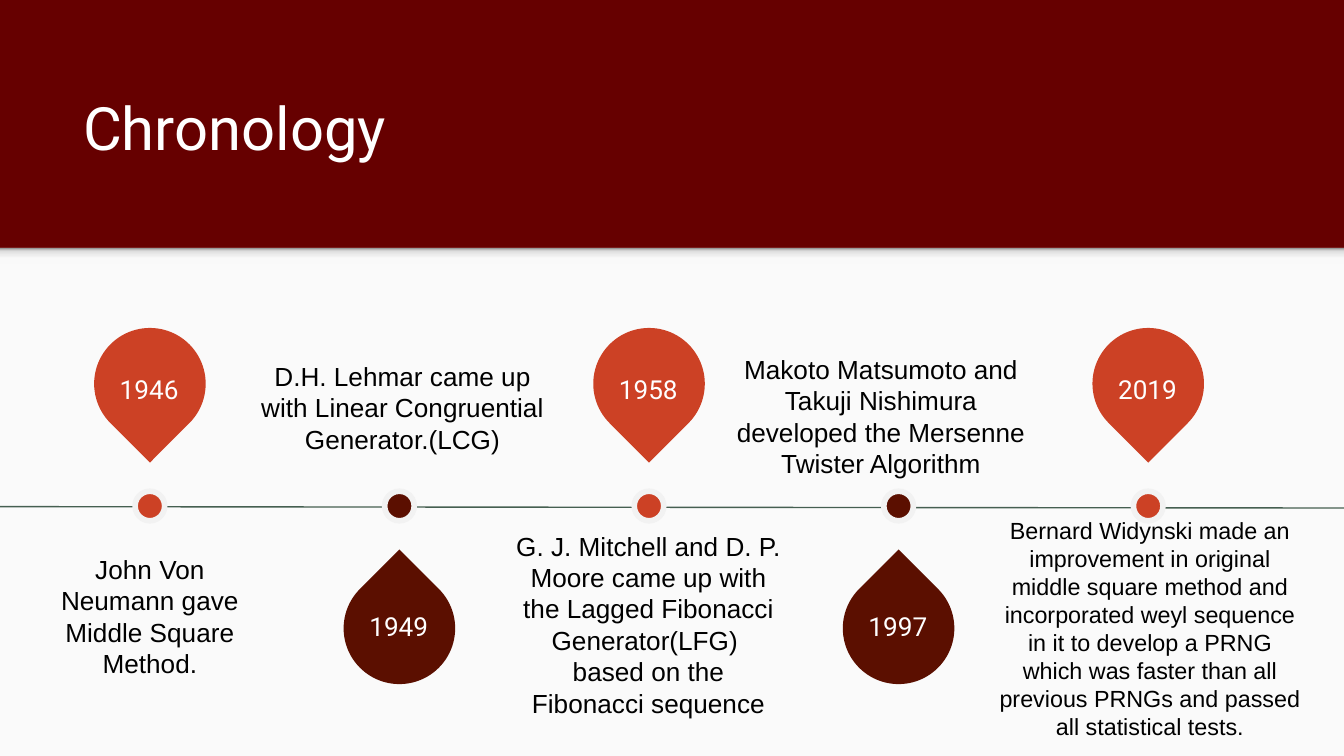
from copy import deepcopy

from lxml.etree import SubElement
from pptx import Presentation
from pptx.dml.color import RGBColor as RGB
from pptx.enum.shapes import MSO_CONNECTOR as LINK, MSO_SHAPE as SHAPE
from pptx.enum.text import MSO_ANCHOR as ANCHOR, PP_ALIGN as ALIGN
from pptx.oxml.ns import qn
from pptx.util import Inches, Pt

# Grid: square cells, 100 columns by 56.25 rows
CELL = Inches(0.1)
COLS, ROWS = 100, 56.25
BAND = 18.45        # rows taken by the title band
AXIS = 37.65        # row of the dots
FIRST, STEP = 11.15, 18.57  # column of the first event, gap between events
DROP, DOT = 8.3, 2.2

WINE = RGB(0x66, 0x00, 0x00)
PAPER = RGB(0xFA, 0xFA, 0xFA)
RED = RGB(0xCC, 0x41, 0x25)
BROWN = RGB(0x5B, 0x0F, 0x00)
RING = RGB(0xF2, 0xF2, 0xF2)
GREEN = RGB(0x45, 0x5F, 0x51)
WHITE = RGB(0xFF, 0xFF, 0xFF)
BLACK = RGB(0x00, 0x00, 0x00)
SHADE = [(0, RGB(0xF9, 0xF9, 0xF9)), (0.36, RGB(0xF9, 0xF9, 0xF9)),
         (0.8, RGB(0xDE, 0xDE, 0xDE)), (1, RGB(0x99, 0x99, 0x99))]

# Year, note, note box in cells (left, top, width, height), inset, size
EVENTS = [
    ("1946", "John Von Neumann gave Middle Square Method.",
     (3.2, 39.1, 15.9, 13.5), 0, 14),
    ("1949", "D.H. Lehmar came up with Linear Congruential Generator.(LCG)",
     (17.7, 25.8, 24.5, 9.7), 1, 14),
    ("1958", "G. J. Mitchell and D. P. Moore came up with the Lagged Fibonacci "
     "Generator(LFG) \vbased on the Fibonacci sequence",
     (38.3, 39.1, 19.9, 14.7), 0, 14),
    ("1997", "Makoto Matsumoto and Takuji Nishimura developed the Mersenne "
     "Twister Algorithm", (53.3, 25.3, 24.5, 9.7), 1, 14),
    ("2019", "Bernard Widynski made an improvement in original middle square "
     "method and incorporated weyl sequence in it to develop a PRNG which was "
     "faster than all previous PRNGs and passed all statistical tests.",
     (73.3, 37.4, 24.5, 18.85), 1, 12.5),
]


def cells(*nums):
    return [round(n * CELL) for n in nums]


def add_form(slide, kind, box, fill=None, turn=0):
    form = slide.shapes.add_shape(kind, *cells(*box))
    form.shadow.inherit = False
    form.line.fill.background()
    form.rotation = turn
    if fill is not None:
        form.fill.solid()
        form.fill.fore_color.rgb = fill
    return form


def add_text(slide, text, box, size, font="Arial", color=BLACK,
             align=ALIGN.CENTER, anchor=ANCHOR.TOP, inset=1):
    frame = slide.shapes.add_textbox(*cells(*box)).text_frame
    frame.word_wrap = True
    frame.vertical_anchor = anchor
    pad, = cells(inset)
    frame.margin_left = frame.margin_right = pad
    frame.margin_top = frame.margin_bottom = pad
    para = frame.paragraphs[0]
    para.text = text
    para.alignment = align
    for run in para.runs:
        run.font.name = font
        run.font.size = Pt(size)
        run.font.color.rgb = color


def add_shade(slide):
    form = add_form(slide, SHAPE.RECTANGLE, (0, BAND, COLS, 1.2))
    fill = form.fill
    fill.gradient()
    fill.gradient_angle = 90
    stops = form.element.find(".//" + qn("a:gsLst"))
    for _ in SHADE[2:]:
        stops.append(deepcopy(stops[0]))
    for stop, (place, color) in zip(fill.gradient_stops, SHADE):
        stop.position = place
        stop.color.rgb = color


def add_axis(slide):
    line = slide.shapes.add_connector(
        LINK.STRAIGHT, *cells(0, 37.7, COLS + 0.2, 37.8))
    line.line.color.rgb = GREEN
    line.line.width = Pt(0.75)
    SubElement(line.element.spPr, qn("a:effectLst"))


def add_mark(slide, mid, year, above):
    color = RED if above else BROWN
    top = 24.4 if above else 42.6
    dot = add_form(slide, SHAPE.OVAL,
                   (mid - DOT / 2, AXIS - DOT / 2, DOT, DOT), color)
    dot.line.color.rgb = RING
    dot.line.width = Pt(3)
    add_form(slide, SHAPE.TEAR, (mid - DROP / 2, top, DROP, DROP),
             color, 135 if above else 315)
    add_text(slide, year, (mid - 3.3, top + (2.4 if above else 1.85), 6.5, 4),
             14, "Roboto", WHITE)


def main():
    deck = Presentation()
    deck.slide_width, deck.slide_height = cells(COLS, ROWS)
    slide = deck.slides.add_slide(deck.slide_layouts[6])

    # Title band and page
    back = slide.background.fill
    back.solid()
    back.fore_color.rgb = WINE
    add_form(slide, SHAPE.RECTANGLE, (0, BAND, COLS, ROWS - BAND), PAPER)
    add_shade(slide)
    add_text(slide, "Chronology", (5.2, 4.7, 89.9, 8.4), 32, "Roboto", WHITE,
             ALIGN.LEFT, ANCHOR.BOTTOM)

    # Timeline: marks alternate above and below the axis
    add_axis(slide)
    for i, (year, note, box, inset, size) in enumerate(EVENTS):
        add_mark(slide, FIRST + i * STEP, year, i % 2 == 0)
        add_text(slide, note, box, size, inset=inset,
                 anchor=ANCHOR.TOP if inset else ANCHOR.MIDDLE)

    deck.save("out.pptx")


if __name__ == "__main__":
    main()
